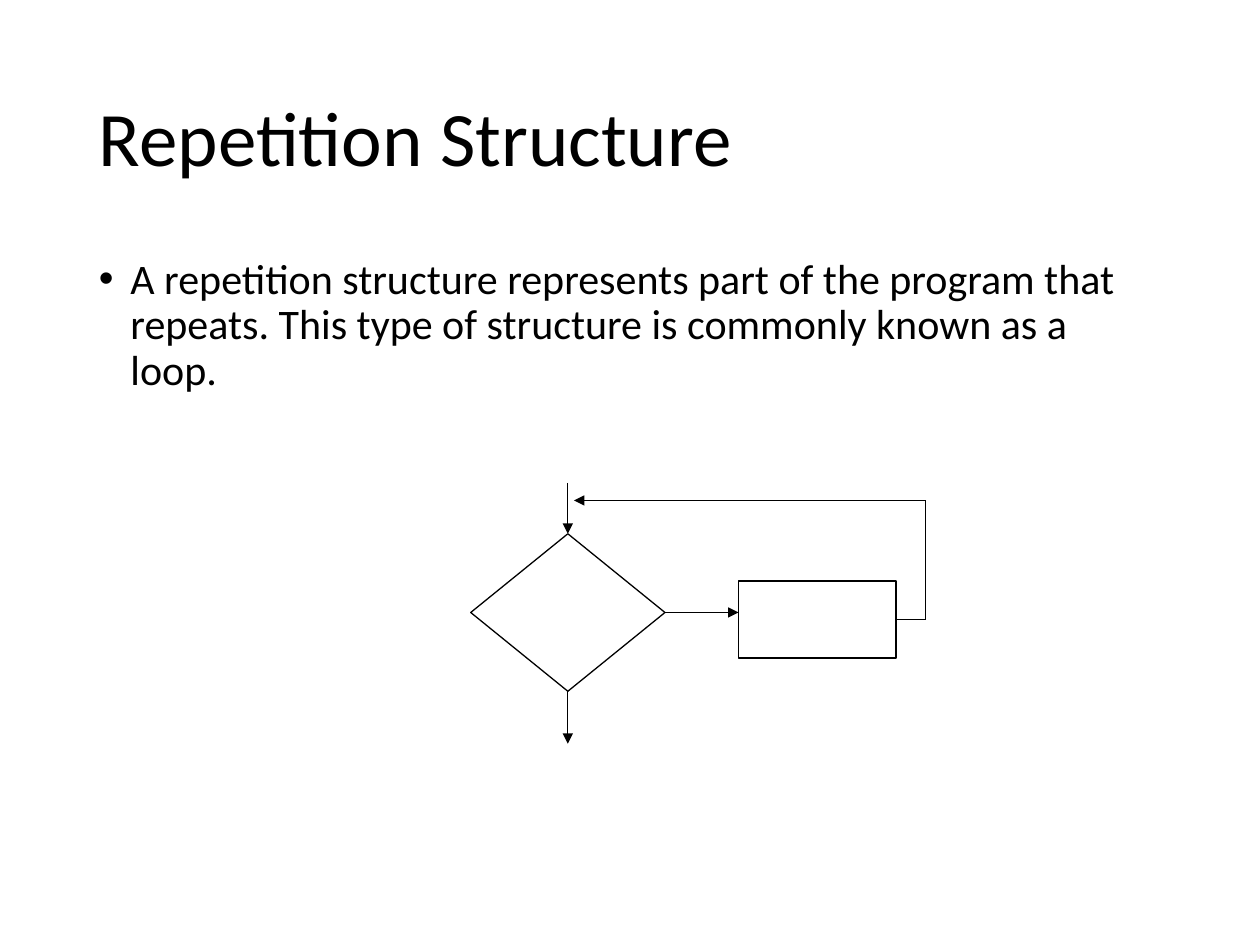
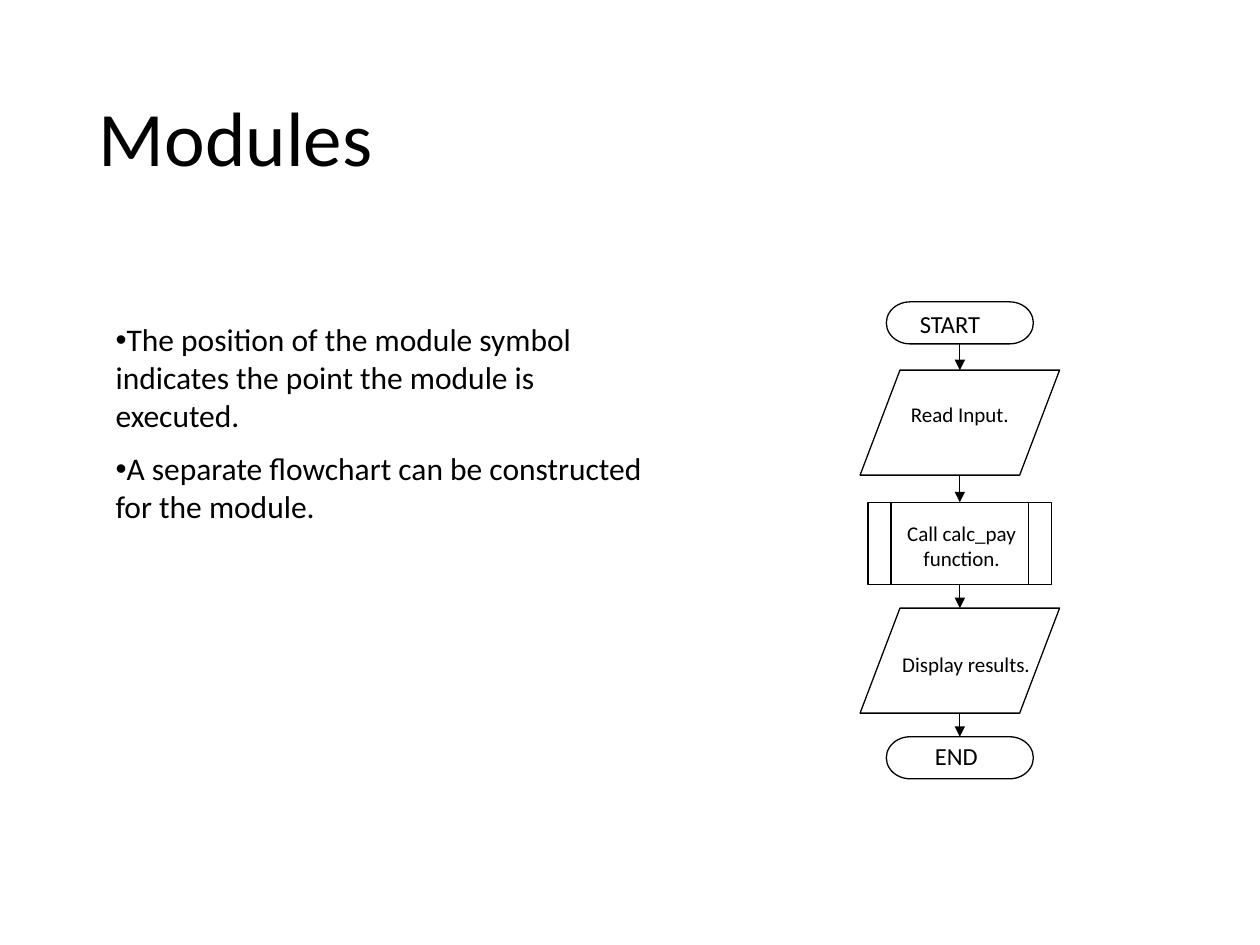
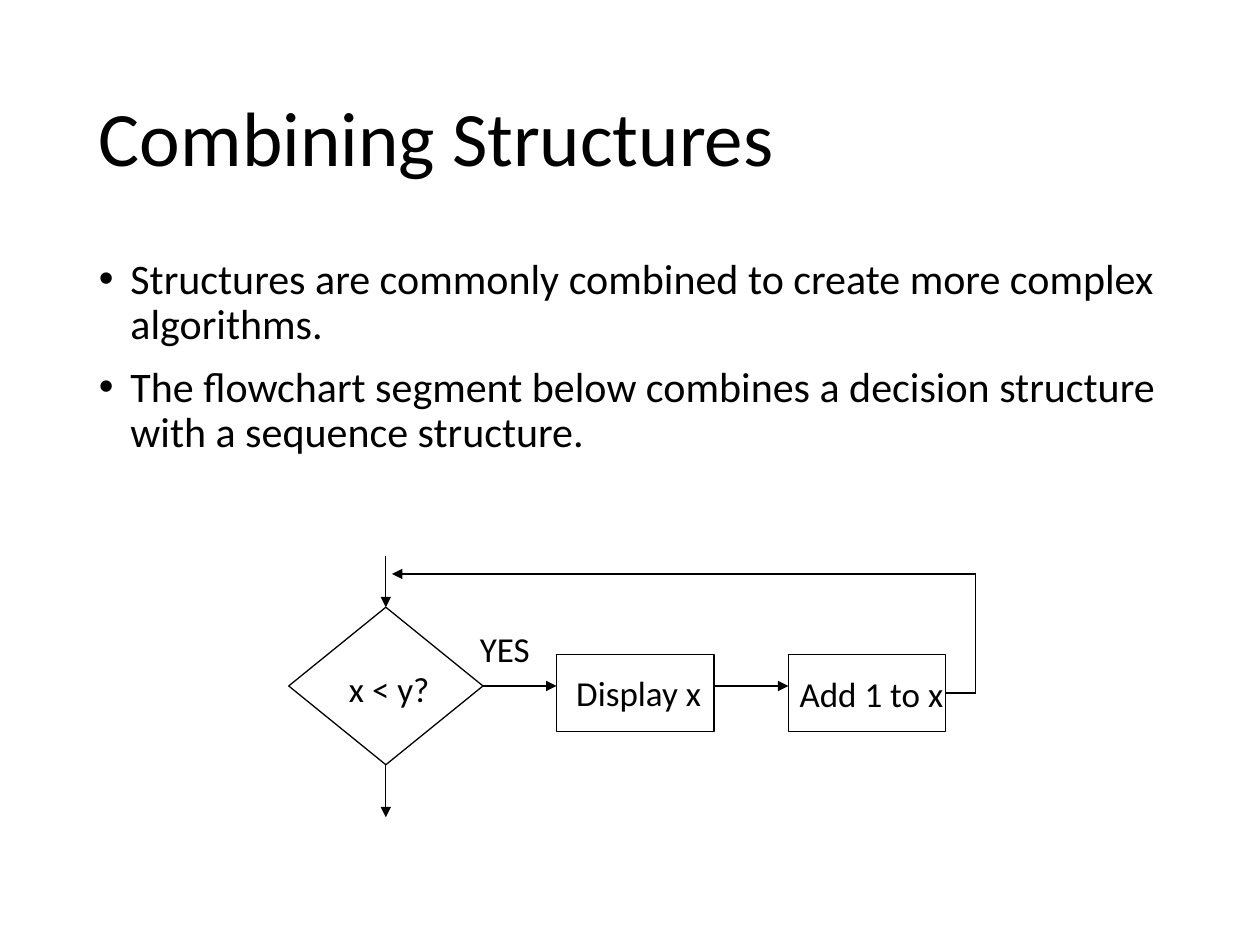
from lxml import etree
from pptx import Presentation
from pptx.dml.color import RGBColor
from pptx.enum.shapes import MSO_CONNECTOR, MSO_SHAPE
from pptx.enum.text import MSO_ANCHOR, PP_ALIGN
from pptx.oxml.ns import qn
from pptx.util import Pt

LEFT, CENTER = PP_ALIGN.LEFT, PP_ALIGN.CENTER
TOP_ANCHOR, MIDDLE_ANCHOR = MSO_ANCHOR.TOP, MSO_ANCHOR.MIDDLE
STRAIGHT = MSO_CONNECTOR.STRAIGHT
DECISION = MSO_SHAPE.FLOWCHART_DECISION
RECTANGLE = MSO_SHAPE.RECTANGLE
TERMINATOR = MSO_SHAPE.FLOWCHART_TERMINATOR
INPUT_OUTPUT = MSO_SHAPE.FLOWCHART_DATA
MODULE = MSO_SHAPE.FLOWCHART_PREDEFINED_PROCESS

COLORS = {"background": "FFFFFF", "text": "000000", "line": "000000"}
FONT = "Calibri"
LINE_WIDTH = Pt(0.75)
TOP_SIDE, BOTTOM_SIDE, RIGHT_SIDE = 0, 2, 3


def add_text(slide, text, box, size, align=LEFT, anchor=TOP_ANCHOR,
             line_spacing=1.0, space_before=0, bullet=False, hanging=0):
    """Add a text box with one paragraph per line of text."""
    frame = slide.shapes.add_textbox(*map(Pt, box)).text_frame
    frame.word_wrap = True
    frame.vertical_anchor = anchor
    for index, line in enumerate(text.split("\n")):
        paragraph = frame.paragraphs[0] if index == 0 else frame.add_paragraph()
        paragraph.text = line
        paragraph.alignment = align
        paragraph.line_spacing = line_spacing
        if index > 0:
            paragraph.space_before = Pt(space_before)
        if bullet:
            properties = paragraph._p.get_or_add_pPr()
            properties.set("marL", str(Pt(hanging)))
            properties.set("indent", str(-Pt(hanging)))
            etree.SubElement(properties, qn("a:buFont"), typeface="Arial")
            etree.SubElement(properties, qn("a:buChar"), char="•")
        paragraph.font.name = FONT
        paragraph.font.size = Pt(size)
        paragraph.font.color.rgb = RGBColor.from_string(COLORS["text"])


def add_line(slide, start, end, arrow=True, begin=None, finish=None):
    """Draw a line; begin and finish are optional (shape, side) joints."""
    connector = slide.shapes.add_connector(STRAIGHT, *map(Pt, (*start, *end)))
    if begin:
        connector.begin_connect(*begin)
    if finish:
        connector.end_connect(*finish)
    connector.line.width = LINE_WIDTH
    connector.line.color.rgb = RGBColor.from_string(COLORS["line"])
    if arrow:
        etree.SubElement(connector.line._get_or_add_ln(), qn("a:tailEnd"), type="triangle")
    etree.SubElement(connector._element.spPr, qn("a:effectLst"))


presentation = Presentation()
presentation.slide_width = Pt(720)
presentation.slide_height = Pt(540)
outlines = []

# Slides with their titles
slides = []
for title in ("Repetition Structure", "Modules", "Combining Structures"):
    slide = presentation.slides.add_slide(presentation.slide_layouts[6])
    slide.background.fill.solid()
    slide.background.fill.fore_color.rgb = RGBColor.from_string(COLORS["background"])
    add_text(slide, title, (49.5, 29, 621, 104), 44, anchor=MIDDLE_ANCHOR, line_spacing=0.9)
    slides.append(slide)
repetition_slide, modules_slide, combining_slide = slides

# Bullet text
BODY_BOX = (49.5, 144, 621, 343)
BODY_STYLE = {"size": 24, "line_spacing": 0.9, "space_before": 10, "bullet": True, "hanging": 18}
add_text(repetition_slide,
         "A repetition structure represents part of the program that repeats. "
         "This type of structure is commonly known as a loop.",
         BODY_BOX, **BODY_STYLE)
add_text(combining_slide,
         "Structures are commonly combined to create more complex algorithms.\n"
         "The flowchart segment below combines a decision structure with a sequence structure.",
         BODY_BOX, **BODY_STYLE)
add_text(modules_slide,
         "The position of the module symbol indicates the point the module is executed.\n"
         "A separate flowchart can be constructed for the module.",
         (59, 179.5, 316, 165), 18, space_before=9, bullet=True)

# Loop flowcharts: a decision, a row of processes and the way back
DECISION_WIDTH, DECISION_HEIGHT = 111, 90
PROCESS_WIDTH, PROCESS_HEIGHT = 90, 44
PROCESS_OFFSET, PROCESS_DROP, PROCESS_PITCH = 153, 27, 132.5

for slide, left, top, process_count in ((repetition_slide, 269, 305, 1),
                                        (combining_slide, 165, 347, 2)):
    decision = slide.shapes.add_shape(
        DECISION, Pt(left), Pt(top), Pt(DECISION_WIDTH), Pt(DECISION_HEIGHT))
    outlines.append(decision)
    middle_x = left + DECISION_WIDTH / 2
    middle_y = top + DECISION_HEIGHT / 2
    bottom = top + DECISION_HEIGHT
    add_line(slide, (middle_x, top - 29), (middle_x, top), finish=(decision, TOP_SIDE))
    add_line(slide, (middle_x, bottom), (middle_x, bottom + 30), begin=(decision, BOTTOM_SIDE))

    previous_right = left + DECISION_WIDTH
    for index in range(process_count):
        process_left = left + PROCESS_OFFSET + index * PROCESS_PITCH
        process = slide.shapes.add_shape(
            RECTANGLE, Pt(process_left), Pt(top + PROCESS_DROP),
            Pt(PROCESS_WIDTH), Pt(PROCESS_HEIGHT))
        outlines.append(process)
        add_line(slide, (previous_right, middle_y), (process_left, middle_y),
                 begin=(decision, RIGHT_SIDE) if index == 0 else None)
        previous_right = process_left + PROCESS_WIDTH

    return_x = previous_right + 17
    return_y = top - 19
    process_y = top + PROCESS_DROP + PROCESS_HEIGHT / 2
    add_line(slide, (previous_right, process_y), (return_x, process_y), arrow=False,
             begin=(process, RIGHT_SIDE))
    add_line(slide, (return_x, process_y), (return_x, return_y), arrow=False)
    add_line(slide, (return_x, return_y), (left + 59, return_y))

for text, box in (("x < y?", (185, 378, 75, 31)),
                  ("Display x", (314, 380, 102, 31)),
                  ("Add 1 to x", (447, 381, 102, 31)),
                  ("YES", (258, 355, 61, 31))):
    add_text(combining_slide, text, box, 20, align=CENTER)

# Module flowchart: steps stacked on one centre line
STEP_CENTER = 548.5
STEP_SIZES = {TERMINATOR: (84, 24), INPUT_OUTPUT: (114, 60), MODULE: (105, 47)}
STEPS = [
    (TERMINATOR, 172.5, "START", (518.5, 173, 61, 24), 14, LEFT),
    (INPUT_OUTPUT, 211.5, "Read Input.", (513.5, 226, 81, 22), 12, LEFT),
    (MODULE, 287, "Call calc_pay function.", (509, 294, 81, 36), 12, CENTER),
    (INPUT_OUTPUT, 347.5, "Display results.", (508.5, 369, 91, 22), 12, LEFT),
    (TERMINATOR, 421, "END", (516, 420, 61, 24), 14, CENTER),
]
previous_step = None
previous_bottom = 0
for preset, top, text, box, size, align in STEPS:
    width, height = STEP_SIZES[preset]
    step = modules_slide.shapes.add_shape(
        preset, Pt(STEP_CENTER - width / 2), Pt(top), Pt(width), Pt(height))
    outlines.append(step)
    add_text(modules_slide, text, box, size, align=align)
    if previous_step is not None:
        step_is_slanted = preset == INPUT_OUTPUT
        previous_is_slanted = previous_step.auto_shape_type == INPUT_OUTPUT
        add_line(modules_slide, (STEP_CENTER, previous_bottom), (STEP_CENTER, top),
                 begin=None if previous_is_slanted else (previous_step, BOTTOM_SIDE),
                 finish=None if step_is_slanted else (step, TOP_SIDE))
    previous_step, previous_bottom = step, top + height

# All flowchart symbols are plain outlines
for shape in outlines:
    shape.shadow.inherit = False
    shape.fill.background()
    shape.line.width = LINE_WIDTH
    shape.line.color.rgb = RGBColor.from_string(COLORS["line"])

presentation.save("out.pptx")
